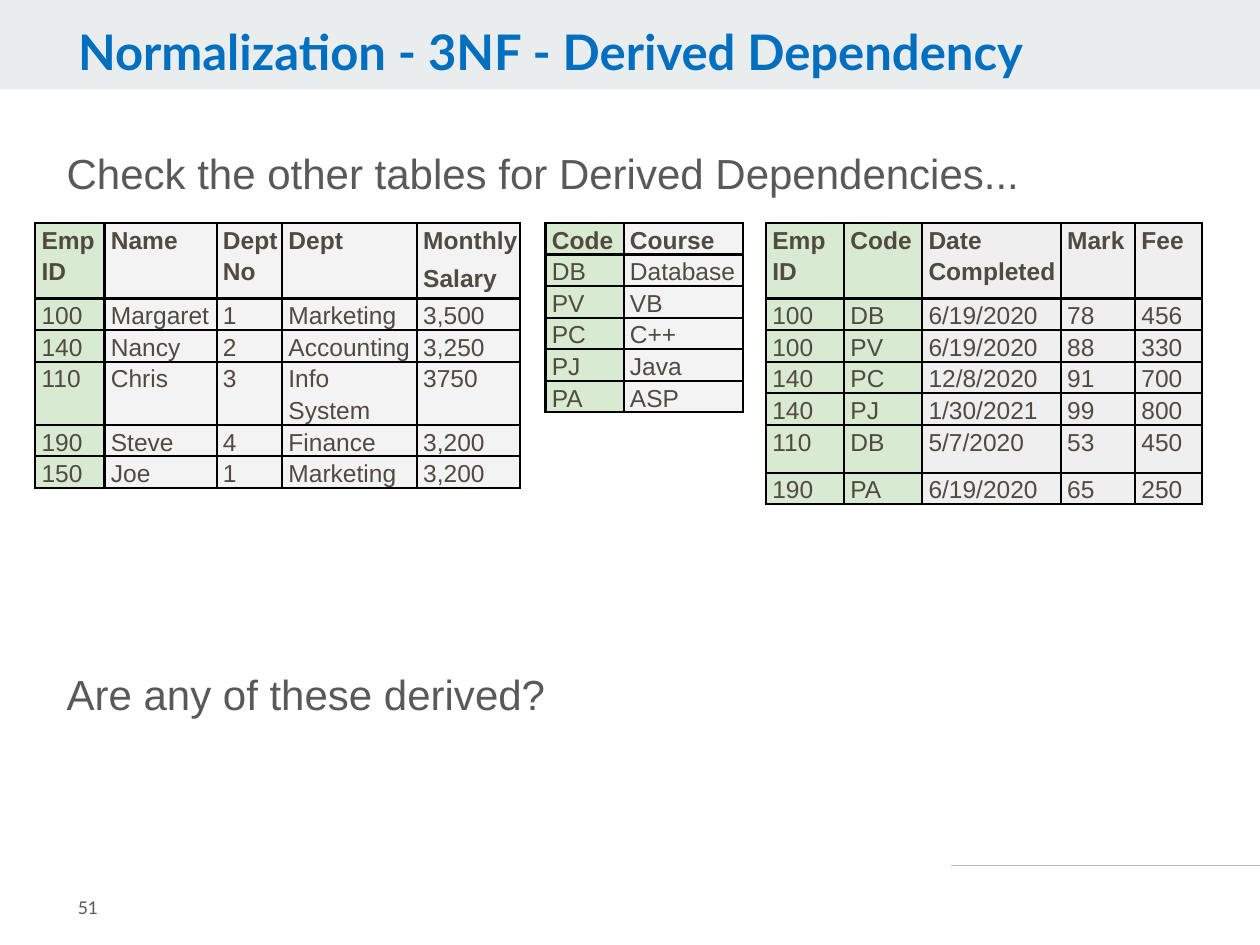
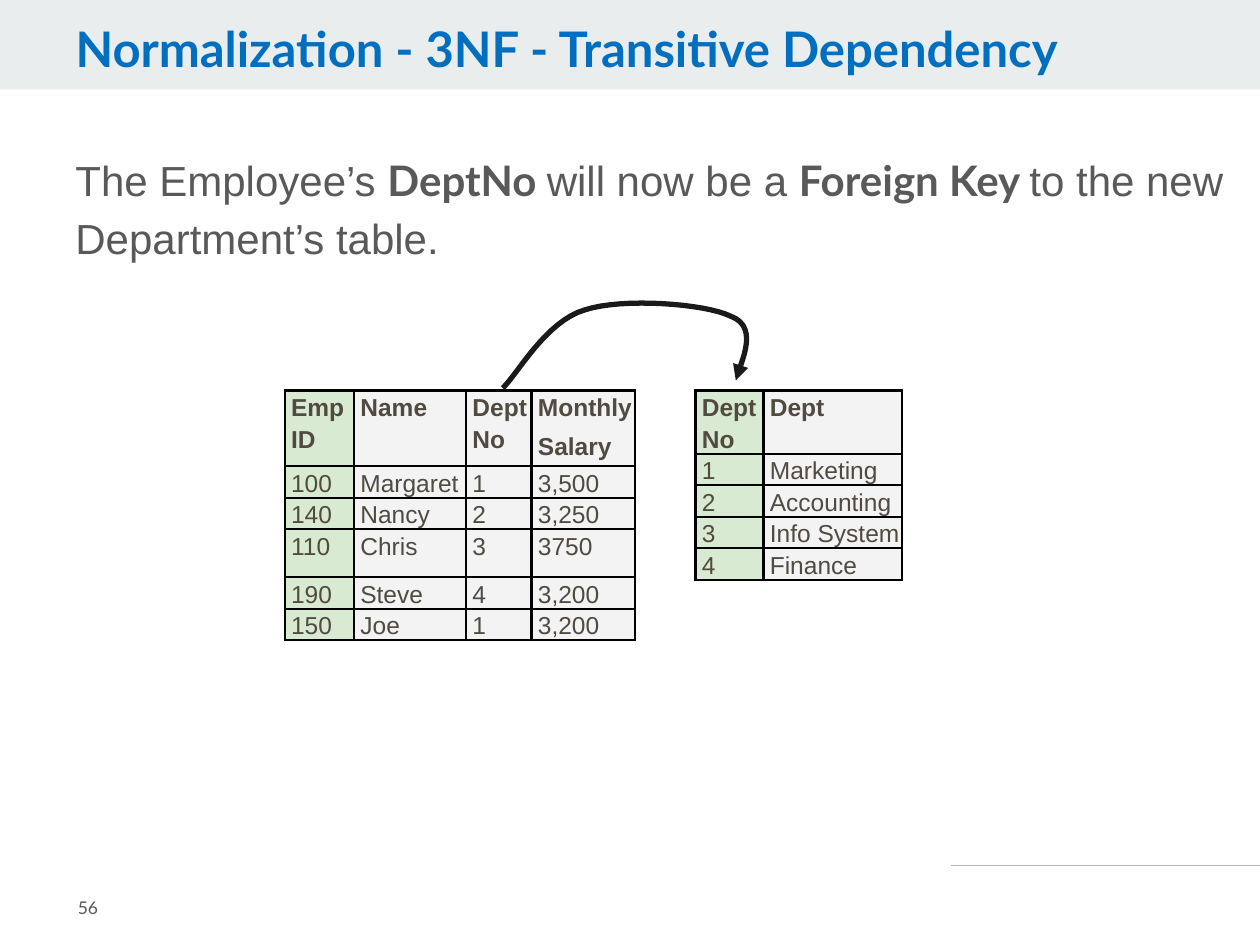
from dataclasses import dataclass

from lxml import etree
from pptx import Presentation
from pptx.dml.color import RGBColor
from pptx.enum.shapes import MSO_CONNECTOR, MSO_SHAPE
from pptx.enum.text import MSO_ANCHOR, MSO_AUTO_SIZE, PP_ALIGN
from pptx.oxml import parse_xml
from pptx.oxml.ns import nsdecls, qn
from pptx.util import Inches, Pt

RECT = MSO_SHAPE.RECTANGLE
STRAIGHT = MSO_CONNECTOR.STRAIGHT
TOP, MIDDLE = MSO_ANCHOR.TOP, MSO_ANCHOR.MIDDLE
NO_FIT = MSO_AUTO_SIZE.NONE
LEFT = PP_ALIGN.LEFT


@dataclass(frozen=True)
class Theme:
    title: str = "006FBF"
    body: str = "595959"
    cell: str = "514A40"
    band: str = "E9EDEE"
    rule: str = "B7B7B7"
    key: str = "D9EAD3"
    plain: str = "F3F3F3"
    grey: str = "EFEFEF"
    border: str = "000000"
    arrow: str = "1A1A1A"
    head_font: str = "Lato"
    body_font: str = "Arial"
    title_size: int = 28
    body_size: int = 24
    cell_size: int = 14
    cell_line: int = 18
    page_size: int = 10


T = Theme()
ROW_H = 0.25
INSETS = (0.1, 0.05, 0.1, 0.05)
CELL_INSETS = (0.05, 0, 0, 0)

EMPLOYEES = [
    ["Emp ID", "Name", "Dept No", "Dept", "Monthly\nSalary"],
    ["100", "Margaret", "1", "Marketing", "3,500"],
    ["140", "Nancy", "2", "Accounting", "3,250"],
    ["110", "Chris", "3", "Info System", "3750"],
    ["190", "Steve", "4", "Finance", "3,200"],
    ["150", "Joe", "1", "Marketing", "3,200"],
]
EMPLOYEE_COLS = [0.55, 0.89, 0.52, 1.07, 0.82]
DEPT_COL = 3
COURSES = [
    ["Code", "Course"],
    ["DB", "Database"],
    ["PV", "VB"],
    ["PC", "C++"],
    ["PJ", "Java"],
    ["PA", "ASP"],
]
RESULTS = [
    ["Emp ID", "Code", "Date Completed", "Mark", "Fee"],
    ["100", "DB", "6/19/2020", "78", "456"],
    ["100", "PV", "6/19/2020", "88", "330"],
    ["140", "PC", "12/8/2020", "91", "700"],
    ["140", "PJ", "1/30/2021", "99", "800"],
    ["110", "DB", "5/7/2020", "53", "450"],
    ["190", "PA", "6/19/2020", "65", "250"],
]
DEPARTMENTS = [
    ["Dept No", "Dept"],
    ["1", "Marketing"],
    ["2", "Accounting"],
    ["3", "Info System"],
    ["4", "Finance"],
]


def rgb(color):
    return RGBColor.from_string(color)


def write(tf, paragraphs, size, color, font=T.body_font, bold=False,
          spacing=1.0, before=0):
    for i, runs in enumerate(paragraphs):
        p = tf.add_paragraph() if i else tf.paragraphs[0]
        p.alignment = LEFT
        p.line_spacing = spacing
        p.space_before = Pt(before if i else 0)
        for text, is_strong in runs:
            r = p.add_run()
            r.text = text
            r.font.size = Pt(size)
            r.font.name = T.head_font if is_strong else font
            r.font.bold = bold or is_strong
            r.font.color.rgb = rgb(color)


def set_insets(target, insets):
    (target.margin_left, target.margin_top,
     target.margin_right, target.margin_bottom) = map(Inches, insets)


def fit_frame(tf, insets=INSETS, anchor=TOP):
    tf.word_wrap = True
    tf.auto_size = NO_FIT
    tf.vertical_anchor = anchor
    set_insets(tf, insets)


def plain(text):
    return [[(line, False)] for line in text.split("\n")]


def add_text(s, box, paragraphs, insets=INSETS, anchor=TOP, **fmt):
    tf = s.shapes.add_textbox(*map(Inches, box)).text_frame
    fit_frame(tf, insets, anchor)
    write(tf, paragraphs, **fmt)


def add_body(s, box, paragraphs):
    add_text(s, box, paragraphs, size=T.body_size, color=T.body, spacing=1.15)


def decorate_layout(s):
    band = s.shapes.add_shape(RECT, 0, 0, Inches(10), Inches(0.71))
    band.shadow.inherit = False
    band.fill.solid()
    band.fill.fore_color.rgb = rgb(T.band)
    band.line.fill.background()

    rule = s.shapes.add_connector(STRAIGHT, *map(Inches, (7.55, 6.87, 10.01, 6.87)))
    rule.line.color.rgb = rgb(T.rule)
    rule.line.width = Pt(0.75)
    etree.SubElement(rule.element.spPr, qn("a:effectLst"))

    for shape_id, shape in enumerate((rule, band), 20):
        shape.element.xpath(".//p:cNvPr")[0].set("id", str(shape_id))
        s.slide_layout.shapes.element.append(shape.element)


def add_title(s, box, text):
    title = s.shapes.title
    title.left, title.top, title.width, title.height = map(Inches, box)
    fit_frame(title.text_frame)
    write(title.text_frame, plain(text), size=T.title_size, color=T.title,
          font=T.head_font, bold=True, spacing=0.9)


def add_page_number(s, number):
    add_text(s, (0.52, 6.92, 1.23, 0.57), plain(number), size=T.page_size,
             color=T.body, font=T.head_font, insets=(0.1,) * 4, anchor=MIDDLE)


def set_borders(cell):
    tc_pr = cell._tc.get_or_add_tcPr()
    for i, side in enumerate("LRTB"):
        tc_pr.insert(i, parse_xml(
            f'<a:ln{side} {nsdecls("a")} w="{Pt(1.5)}"><a:solidFill>'
            f'<a:srgbClr val="{T.border}"/></a:solidFill></a:ln{side}>'))


def add_data_table(s, left, top, rows, cols, header=0.6, tall_row=None,
                   tall=0.38, keys=1, fill=T.plain):
    heights = [header] + [tall if i == tall_row else ROW_H for i in range(1, len(rows))]
    frame = s.shapes.add_table(len(rows), len(cols), *map(
        Inches, (left, top, sum(cols), sum(heights))))
    table = frame.table
    table.first_row = table.horz_banding = False
    for column, width in zip(table.columns, cols):
        column.width = Inches(width)
    for i, (values, height) in enumerate(zip(rows, heights)):
        table.rows[i].height = Inches(height)
        for j, value in enumerate(values):
            cell = table.cell(i, j)
            write(cell.text_frame, plain(value), size=T.cell_size, color=T.cell,
                  bold=i == 0, spacing=Pt(T.cell_line), before=4)
            set_insets(cell, CELL_INSETS)
            cell.vertical_anchor = TOP
            cell.fill.solid()
            cell.fill.fore_color.rgb = rgb(T.key if j < keys else fill)
            set_borders(cell)


def bezier(points, steps=16):
    for k in range(1, steps + 1):
        t = k / steps
        weights = ((1 - t) ** 3, 3 * t * (1 - t) ** 2, 3 * t * t * (1 - t), t ** 3)
        yield tuple(Inches(sum(w * p[axis] for w, p in zip(weights, points)))
                    for axis in (0, 1))


def add_key_arrow(s, left, top):
    controls = [(0, 0.67), (0.11, 0.57), (0.34, 0.14), (0.65, 0.05), (0.95, -0.05),
                (1.61, 0), (1.81, 0.1), (2.06, 0.19), (1.86, 0.52), (1.85, 0.61)]
    points = [(left + x, top + y) for x, y in controls]
    builder = s.shapes.build_freeform(*map(Inches, points[0]))
    vertices = [v for i in range(0, 9, 3) for v in bezier(points[i:i + 4])]
    builder.add_line_segments(vertices, close=False)
    arrow = builder.convert_to_shape()
    arrow.shadow.inherit = False
    arrow.fill.background()
    arrow.line.color.rgb = rgb(T.arrow)
    arrow.line.width = Pt(3)
    etree.SubElement(arrow.line._get_or_add_ln(), qn("a:tailEnd"), type="triangle")


def derived_slide(s):
    add_title(s, (0.52, 0.17, 8.82, 0.55), "Normalization - 3NF - Derived Dependency")
    add_body(s, (0.43, 1.06, 9.11, 0.6),
             plain("Check the other tables for Derived Dependencies..."))
    add_body(s, (0.43, 5.2, 9.11, 0.6), plain("Are any of these derived?"))
    top = 1.77
    add_data_table(s, 6.08, top, RESULTS, [0.62, 0.62, 1.1, 0.59, 0.53],
                   tall_row=5, keys=2, fill=T.grey)
    add_data_table(s, 4.33, top, COURSES, [0.62, 0.95], header=ROW_H)
    add_data_table(s, 0.28, top, EMPLOYEES, EMPLOYEE_COLS, tall_row=3, tall=0.5)
    add_page_number(s, "51")


def transitive_slide(s):
    add_title(s, (0.5, 0.15, 8.82, 0.55), "Normalization - 3NF - Transitive Dependency")
    add_body(s, (0.5, 1.12, 9.32, 1.1), [[
        ("The Employee’s ", False), ("DeptNo ", True), ("will now be a ", False),
        ("Foreign Key ", True), ("to the new Department’s table.", False)]])
    top = 3.1
    add_data_table(s, 5.52, top, DEPARTMENTS, [0.54, 1.1], header=0.5)
    without_dept = [row[:DEPT_COL] + row[DEPT_COL + 1:]
                    for row in EMPLOYEES + [EMPLOYEE_COLS]]
    add_data_table(s, 2.26, top, without_dept[:-1], without_dept[-1], tall_row=3)
    add_key_arrow(s, 3.99, 2.41)
    add_page_number(s, "56")


def main():
    prs = Presentation()
    prs.slide_width, prs.slide_height = Inches(10), Inches(7.5)
    layout = prs.slide_layouts.get_by_name("Title Only")
    for i, build in enumerate((derived_slide, transitive_slide)):
        s = prs.slides.add_slide(layout)
        if i == 0:
            decorate_layout(s)
        build(s)
    prs.save("out.pptx")


if __name__ == "__main__":
    main()
